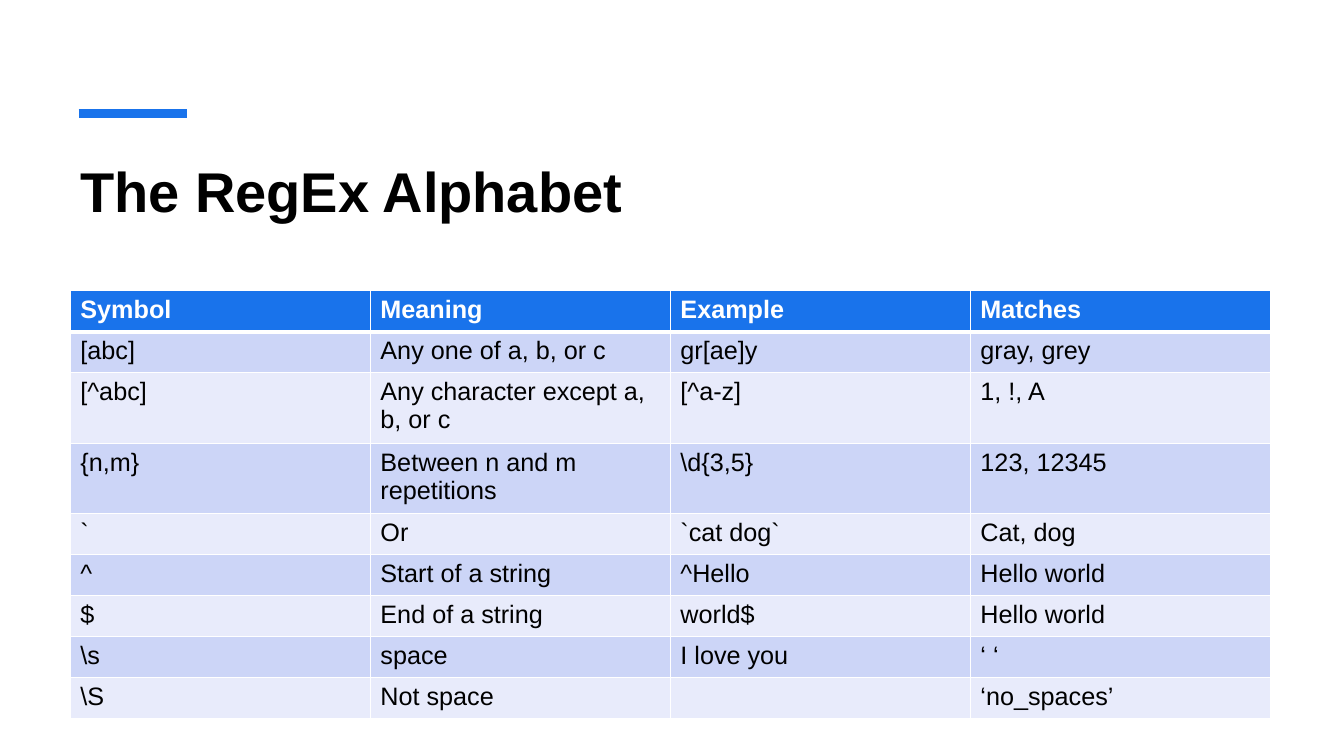
from lxml import etree
from pptx import Presentation, util as u
from pptx.dml import color
from pptx.enum import shapes, text
from pptx.oxml import ns

PX = 9525
BLUE = color.RGBColor(0x19, 0x73, 0xEB)
BAND_DARK = color.RGBColor(0xCC, 0xD5, 0xF7)
BAND_LIGHT = color.RGBColor(0xE8, 0xEB, 0xFB)
WHITE = color.RGBColor(0xFF, 0xFF, 0xFF)
BLACK = color.RGBColor(0, 0, 0)

TITLE_FONT = {"name": "Arial", "size": u.Pt(40), "bold": True}
HEAD_FONT = {"name": "Arial", "size": u.Pt(18), "bold": True}
BODY_FONT = {"name": "Arial", "size": u.Pt(18), "bold": False}

ROWS = [
    ("Symbol", "Meaning", "Example", "Matches"),
    ("[abc]", "Any one of a, b, or c", "gr[ae]y", "gray, grey"),
    ("[^abc]", "Any character except a, b, or c", "[^a-z]", "1, !, A"),
    ("{n,m}", "Between n and m repetitions", r"\d{3,5}", "123, 12345"),
    ("`", "Or", "`cat dog`", "Cat, dog"),
    ("^", "Start of a string", "^Hello", "Hello world"),
    ("$", "End of a string", "world$", "Hello world"),
    (r"\s", "space", "I love you", "‘ ‘"),
    (r"\S", "Not space", "", "‘no_spaces’"),
]


def px(*lengths):
    return [n * PX for n in lengths]


def write(p, words, font, rgb):
    target = p.font
    if words:
        r = p.add_run()
        r.text = words
        target = r.font
    for name, value in font.items():
        setattr(target, name, value)
    target.color.rgb = rgb


def set_borders(cell, widths):
    tc_pr = cell._tc.get_or_add_tcPr()
    for side, width in widths.items():
        ln = etree.SubElement(tc_pr, ns.qn(f"a:ln{side}"), w=str(u.Pt(width)))
        fill = etree.SubElement(ln, ns.qn("a:solidFill"))
        etree.SubElement(fill, ns.qn("a:srgbClr"), val=str(WHITE))


def add_heading(s, x, y, w, h):
    line = s.shapes.add_connector(
        shapes.MSO_CONNECTOR.STRAIGHT, *px(x + 8, y - 36, x + 111, y - 36))
    line.line.color.rgb = BLUE
    line.line.width = u.Pt(6)
    etree.SubElement(line._element.spPr, ns.qn("a:effectLst"))

    tf = s.shapes.add_textbox(*px(x, y, w, h)).text_frame
    tf.word_wrap = True
    tf.vertical_anchor = text.MSO_ANCHOR.TOP
    write(tf.paragraphs[0], "The RegEx Alphabet", TITLE_FONT, BLACK)


def add_symbol_table(s, x, y, w, row_h):
    table = s.shapes.add_table(
        len(ROWS), len(ROWS[0]), *px(x, y, w, row_h * len(ROWS))).table
    for i, row in enumerate(ROWS):
        head = i == 0
        fill = BLUE if head else (BAND_LIGHT, BAND_DARK)[i % 2]
        font, rgb = (HEAD_FONT, WHITE) if head else (BODY_FONT, BLACK)
        widths = {"L": 1, "R": 1, "T": 3 if i == 1 else 1, "B": 3 if head else 1}
        for j, words in enumerate(row):
            cell = table.cell(i, j)
            set_borders(cell, widths)
            cell.fill.solid()
            cell.fill.fore_color.rgb = fill
            write(cell.text_frame.paragraphs[0], words, font, rgb)


def main():
    prs = Presentation()
    prs.slide_width, prs.slide_height = px(1280, 720)
    s = prs.slides.add_slide(prs.slide_layouts[6])
    add_heading(s, 67, 144, 1143, 115)
    add_symbol_table(s, 67, 277, 1143, 39)
    prs.save("out.pptx")


if __name__ == "__main__":
    main()
